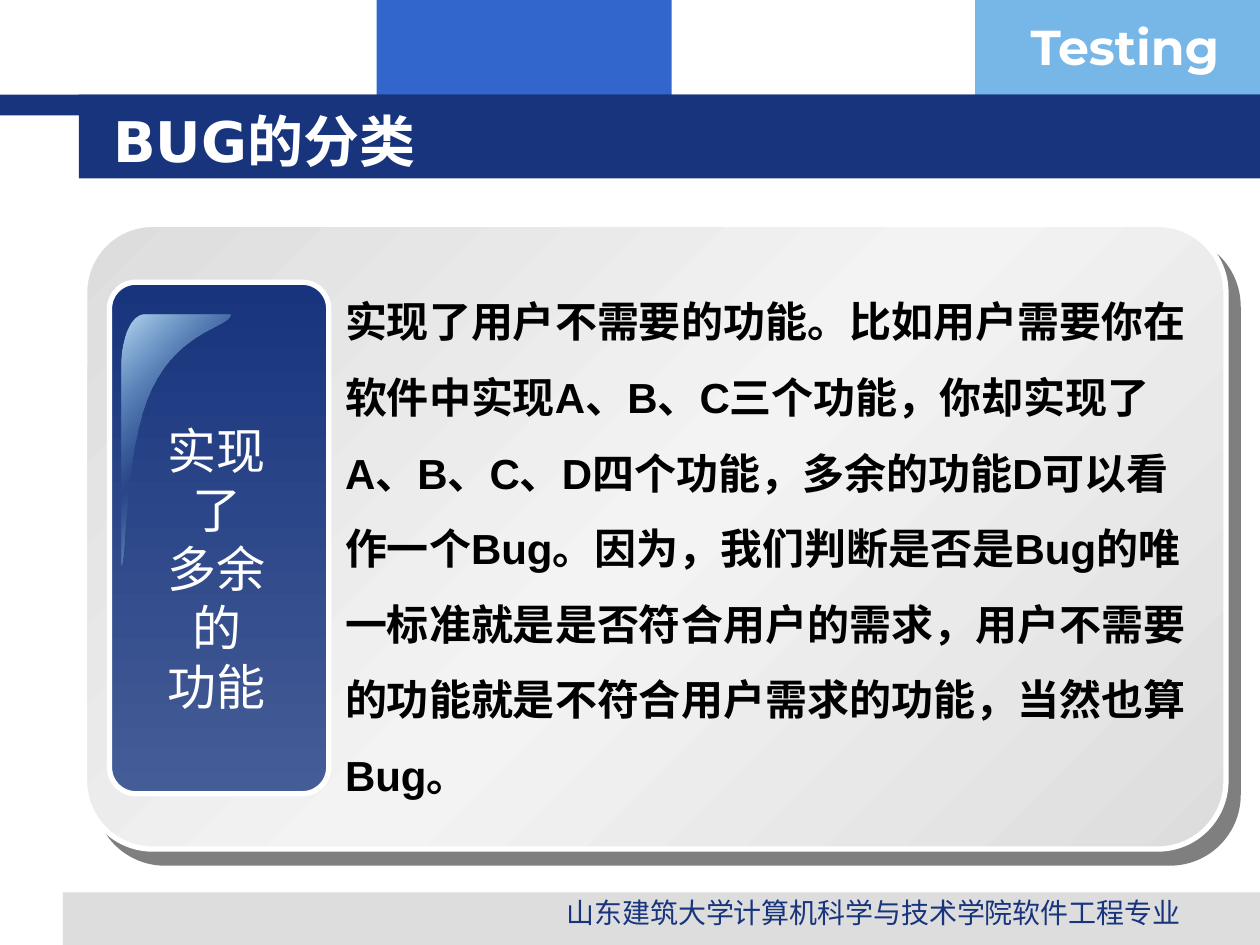
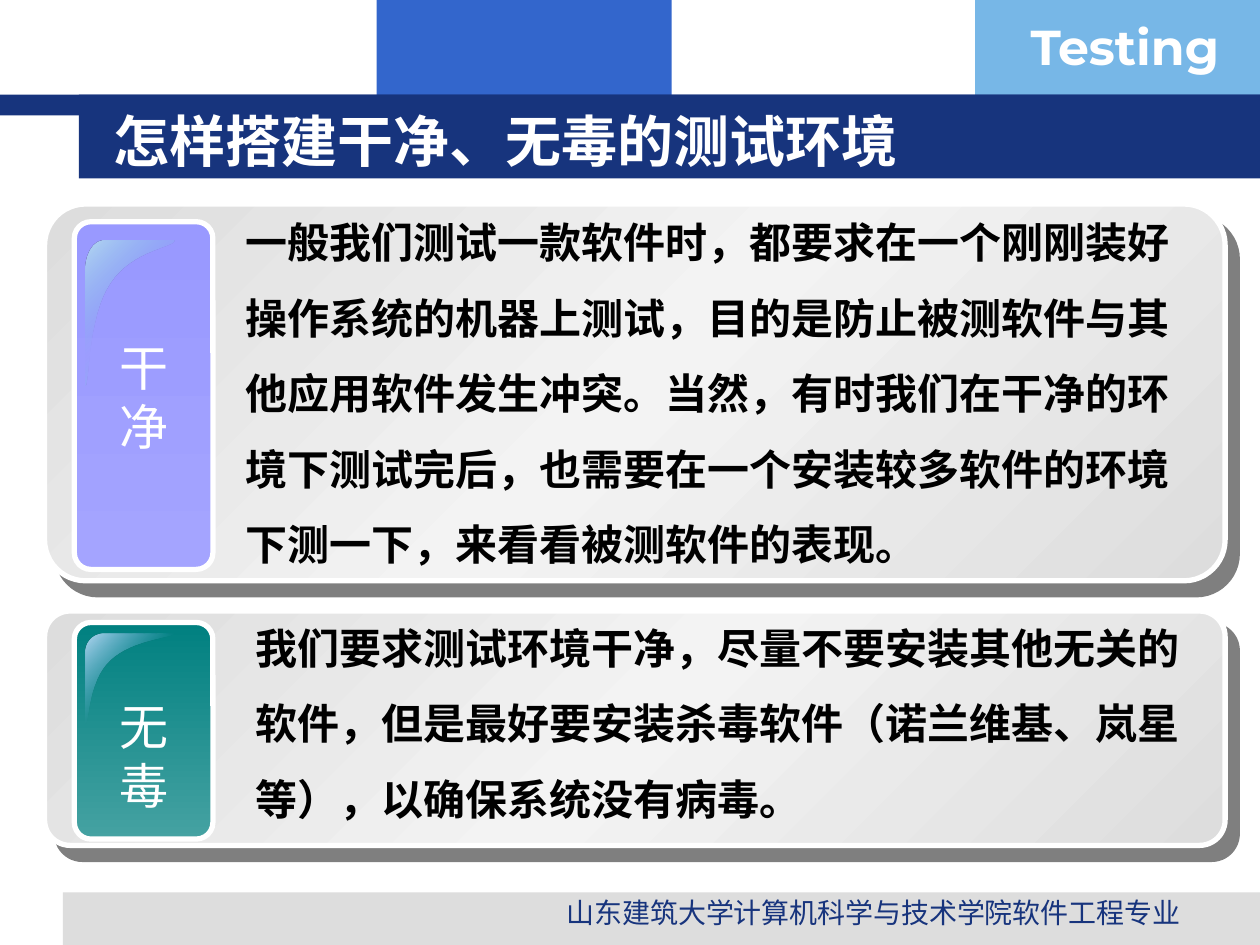
from dataclasses import dataclass
from typing import NamedTuple

from lxml import etree
from pptx import Presentation
from pptx.dml.color import RGBColor
from pptx.enum.shapes import MSO_SHAPE
from pptx.enum.text import MSO_ANCHOR, MSO_AUTO_SIZE, PP_ALIGN
from pptx.oxml.ns import qn
from pptx.util import Pt

RECT, ROUND = MSO_SHAPE.RECTANGLE, MSO_SHAPE.ROUNDED_RECTANGLE
TOP, MIDDLE = MSO_ANCHOR.TOP, MSO_ANCHOR.MIDDLE
LEFT, CENTER = PP_ALIGN.LEFT, PP_ALIGN.CENTER
GROW, FIXED = MSO_AUTO_SIZE.SHAPE_TO_FIT_TEXT, MSO_AUTO_SIZE.NONE

COLORS = {
    "white": "FFFFFF",
    "black": "000000",
    "navy": "17347D",
    "steel": "455D97",
    "blue": "3366CC",
    "sky": "77B7E7",
    "ice": "B5D8F2",
    "gray": "DDDDDD",
    "mist": "F3F3F3",
    "violet": "9999FF",
    "lilac": "A4A4FF",
    "teal": "008080",
    "sea": "45A2A2",
}
FONT, TITLE_FONT, BRAND_FONT = "Arial", "DejaVu Sans", "Montserrat"


class Box(NamedTuple):
    """Left, top, width and height in points."""
    x: float
    y: float
    w: float
    h: float


class Stop(NamedTuple):
    pos: int
    color: str
    alpha: int = 100


@dataclass
class Card:
    frame: Box
    tile: Box
    gloss: Box
    label: Box
    body: Box
    tint: tuple[str, str]
    name: str
    text: str
    wrap: bool = True


@dataclass
class Page:
    title: str
    cards: list[Card]


BANDS = [
    (Box(215.3, 0, 168.5, 66.2), "blue"),
    (Box(557.3, 0, 162.7, 66.2), "sky"),
    (Box(36, 510, 684, 30), "gray"),
    (Box(0, 54, 720, 12), "navy"),
    (Box(45, 54, 675, 48), "navy"),
]
PLATE = [Stop(0, "gray"), Stop(50, "mist"), Stop(100, "gray")]
SHINE = [Stop(0, "ice"), Stop(50, "sky", 0), Stop(100, "ice")]

# Gloss outline in fractions of its box: a start, then Bezier curves.
START = (0.21, 0)
CURVES = [
    [(0.09, 0), (0, 0.09), (0, 0.2)],
    [(0, 0.46), (0, 0.72), (0, 0.98)],
    [(0.05, 1), (0.02, 0.52), (0.28, 0.29)],
    [(0.53, 0.06), (1, 0.05), (0.99, 0)],
]
STEPS = 16

PAGES = [
    Page("BUG的分类", [
        Card(
            Box(48.4, 128.2, 652.2, 357), Box(62.6, 161.3, 125.3, 292.3),
            Box(69.8, 180, 62.6, 146.2), Box(74.9, 236.9, 97.9, 108),
            Box(190.1, 151.2, 499, 309.6), ("navy", "steel"),
            "实现了\n多余的\n功能",
            "实现了用户不需要的功能。比如用户需要你在软件中实现A、B、C三个功能，"
            "你却实现了A、B、C、D四个功能，多余的功能D可以看作一个Bug。因为，"
            "我们判断是否是Bug的唯一标准就是是否符合用户的需求，"
            "用户不需要的功能就是不符合用户需求的功能，当然也算Bug。",
            wrap=False),
    ]),
    Page("怎样搭建干净、无毒的测试环境", [
        Card(
            Box(25.5, 116.6, 674.6, 215.3), Box(42.5, 126.7, 79.2, 198.7),
            Box(49, 137.5, 51.1, 84.2), Box(59.8, 189.4, 45.4, 74.9),
            Box(133.2, 105.8, 550.1, 223.2), ("violet", "lilac"),
            "干净",
            "一般我们测试一款软件时，都要求在一个刚刚装好操作系统的机器上测试，"
            "目的是防止被测软件与其他应用软件发生冲突。当然，"
            "有时我们在干净的环境下测试完后，也需要在一个安装较多软件的环境下测一下，"
            "来看看被测软件的表现。"),
        Card(
            Box(25.5, 349.2, 674.6, 133.9), Box(42.5, 355.7, 79.2, 123.8),
            Box(49, 362.2, 51.1, 52.6), Box(59.8, 394.6, 45.4, 74.9),
            Box(139, 337.7, 550.1, 136.8), ("teal", "sea"),
            "无毒",
            "我们要求测试环境干净，尽量不要安装其他无关的软件，"
            "但是最好要安装杀毒软件（诺兰维基、岚星等），以确保系统没有病毒。"),
    ]),
]


def rgb(name: str) -> RGBColor:
    return RGBColor.from_string(COLORS[name])


def place(box: Box) -> list[Pt]:
    return [Pt(side) for side in box]


def node(root, tag: str, **attrs):
    """Append a drawing element and return it."""
    child = etree.SubElement(root, qn(f"a:{tag}"))
    for key, value in attrs.items():
        child.set(key, str(value))
    return child


def tone(root, color: str, alpha: int = 100) -> None:
    """Append a colour with its opacity in percent."""
    child = node(root, "srgbClr", val=COLORS[color])
    if alpha < 100:
        node(child, "alpha", val=alpha * 1000)


def shade(root, gap: float, angle: int, alpha: int) -> None:
    """Append a hard black shadow to an effect list."""
    cast = node(root, "outerShdw", blurRad=0, dist=Pt(gap),
                dir=angle * 60000, algn="ctr", rotWithShape=0)
    tone(cast, "black", alpha)


def blend(shape, stops: list[Stop], angle: int) -> None:
    """Give a shape a linear gradient in place of its plain fill."""
    shape.fill.solid()
    plain = shape._element.spPr.find(qn("a:solidFill"))
    grad = etree.Element(qn("a:gradFill"), rotWithShape="1")
    row = node(grad, "gsLst")
    for stop in stops:
        tone(node(row, "gs", pos=stop.pos * 1000), stop.color, stop.alpha)
    node(grad, "lin", ang=angle * 60000, scaled=0)
    plain.getparent().replace(plain, grad)


def add_rect(slide, box: Box, color: str) -> None:
    shape = slide.shapes.add_shape(RECT, *place(box))
    shape.shadow.inherit = False
    shape.fill.solid()
    shape.fill.fore_color.rgb = rgb(color)
    shape.line.fill.background()


def add_panel(slide, box: Box, curve: float, stops: list[Stop], angle: int):
    """Draw a white-edged round panel with a gradient."""
    shape = slide.shapes.add_shape(ROUND, *place(box))
    shape.adjustments[0] = curve
    shape.shadow.inherit = False
    blend(shape, stops, angle)
    shape.line.color.rgb = rgb("white")
    shape.line.width = Pt(3)
    return shape


def trace() -> list[tuple[float, float]]:
    """Sample the gloss outline as points."""
    dots = [START]
    for one, two, end in CURVES:
        start = dots[-1]
        for step in range(1, STEPS + 1):
            t = step / STEPS
            u = 1 - t
            dots.append(tuple(
                u**3 * a + 3 * u * u * t * b + 3 * u * t * t * c + t**3 * d
                for a, b, c, d in zip(start, one, two, end)))
    return dots


def add_gloss(slide, box: Box) -> None:
    dots = [(Pt(box.x + x * box.w), Pt(box.y + y * box.h)) for x, y in trace()]
    pen = slide.shapes.build_freeform(*dots[0])
    pen.add_line_segments(dots[1:], close=True)
    shape = pen.convert_to_shape()
    shape.shadow.inherit = False
    blend(shape, SHINE, 45)
    shape.line.fill.background()


def add_text(slide, box: Box, text: str, *, size: float, color: str,
             font: str = FONT, bold: bool = False, align=LEFT, anchor=TOP,
             space: float = 1, wrap: bool = True, fit=GROW,
             cast: bool = False) -> None:
    frame = slide.shapes.add_textbox(*place(box)).text_frame
    frame.word_wrap = wrap
    frame.auto_size = fit
    frame.vertical_anchor = anchor
    frame.text = text
    for para in frame.paragraphs:
        para.alignment = align
        para.line_spacing = space
        for run in para.runs:
            run.font.name = font
            run.font.size = Pt(size)
            run.font.bold = bold
            run.font.color.rgb = rgb(color)
            if cast:
                glow = etree.Element(qn("a:effectLst"))
                shade(glow, 2, 45, 100)
                props = run._r.get_or_add_rPr()
                props.find(qn("a:solidFill")).addnext(glow)


def add_base(slide, title: str) -> None:
    """Draw the bands, brand, footer and title of a slide."""
    for box, color in BANDS:
        add_rect(slide, box, color)
    add_text(slide, Box(581.8, 5.8, 139, 41), "Testing", size=28,
             color="white", font=BRAND_FONT, bold=True)
    add_text(slide, Box(292.3, 508.3, 414, 22.3),
             "山东建筑大学计算机科学与技术学院软件工程专业",
             size=16, color="navy", align=CENTER, fit=FIXED)
    add_text(slide, Box(57.6, 57.6, 614.2, 44.6), title, size=32,
             color="white", font=TITLE_FONT, bold=True, anchor=MIDDLE,
             fit=FIXED)


def add_card(slide, card: Card) -> None:
    plate = add_panel(slide, card.frame, 0.109, PLATE, 45)
    shade(plate._element.spPr.find(qn("a:effectLst")), 10.6, 49, 50)
    first, last = card.tint
    add_panel(slide, card.tile, 0.12, [Stop(0, first), Stop(100, last)], 90)
    add_gloss(slide, card.gloss)
    add_text(slide, card.label, card.name, size=28, color="white",
             align=CENTER, wrap=card.wrap, cast=True)
    add_text(slide, card.body, card.text, size=24, color="black", bold=True,
             space=1.5)


def main() -> None:
    deck = Presentation()
    deck.slide_width, deck.slide_height = Pt(720), Pt(540)
    blank = deck.slide_layouts[6]
    for page in PAGES:
        slide = deck.slides.add_slide(blank)
        add_base(slide, page.title)
        for card in page.cards:
            add_card(slide, card)
    deck.save("out.pptx")


if __name__ == "__main__":
    main()
